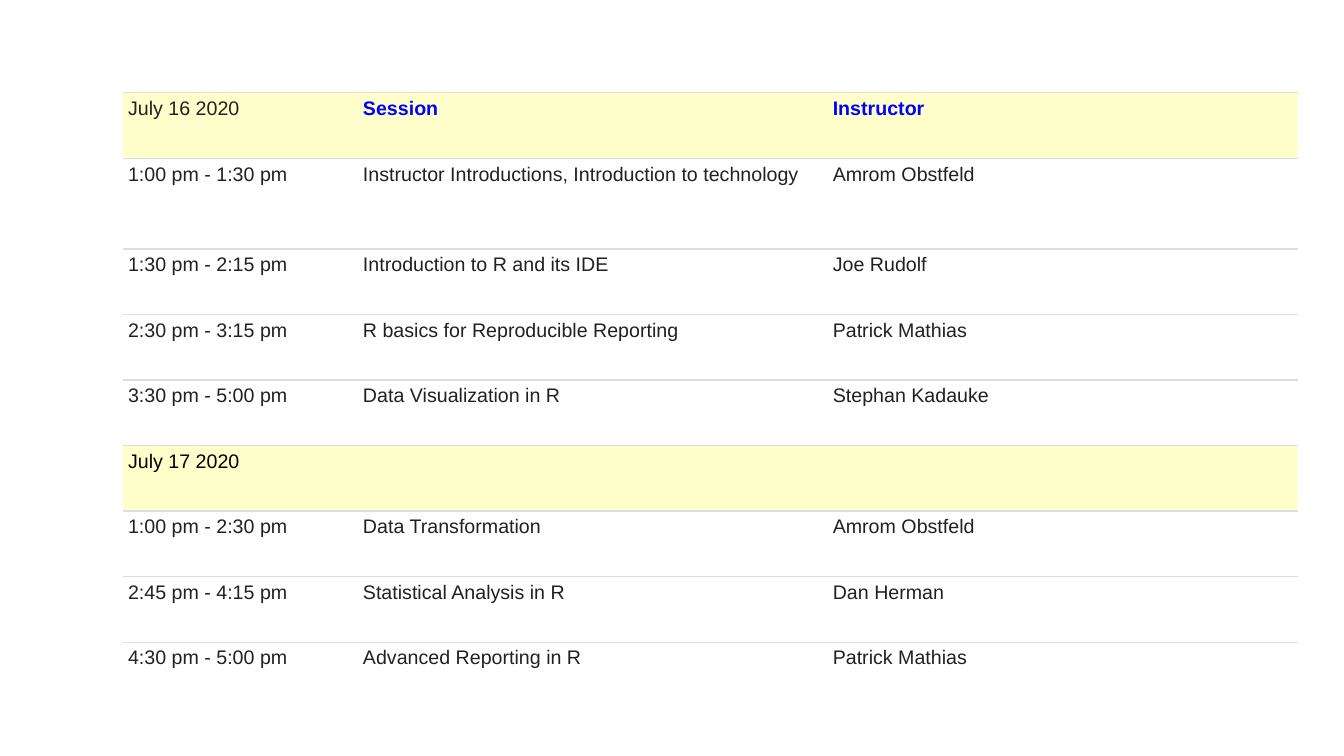
from dataclasses import dataclass

from lxml import etree
from pptx import Presentation
from pptx.dml.color import RGBColor
from pptx.oxml.ns import qn
from pptx.table import _Cell
from pptx.util import Inches, Pt

COLORS = {
    "text": "212121",
    "black": "000000",
    "heading": "0000FF",
    "day": "FFFFCC",
    "plain": "FFFFFF",
    "rule": "DDDDDD",
}
FONT = "Arial"
COLUMN_WIDTHS = (2.33, 4.66, 4.66)
ROW_HEIGHT = 0.65
CELL_MARGIN = Inches(0.05)


@dataclass(frozen=True)
class AgendaRow:
    time: str
    session: str = ""
    instructor: str = ""
    is_day: bool = False
    time_color: str = "text"
    height: float = ROW_HEIGHT


AGENDA = [
    AgendaRow("July 16 2020", "Session", "Instructor", is_day=True),
    AgendaRow("1:00 pm - 1:30 pm", "Instructor Introductions, Introduction to technology",
              "Amrom Obstfeld", height=0.9),
    AgendaRow("1:30 pm - 2:15 pm", "Introduction to R and its IDE", "Joe Rudolf"),
    AgendaRow("2:30 pm - 3:15 pm", "R basics for Reproducible Reporting", "Patrick Mathias"),
    AgendaRow("3:30 pm - 5:00 pm", "Data Visualization in R", "Stephan Kadauke"),
    AgendaRow("July 17 2020", is_day=True, time_color="black"),
    AgendaRow("1:00 pm - 2:30 pm", "Data Transformation", "Amrom Obstfeld"),
    AgendaRow("2:45 pm - 4:15 pm", "Statistical Analysis in R", "Dan Herman"),
    AgendaRow("4:30 pm - 5:00 pm", "Advanced Reporting in R", "Patrick Mathias"),
]


def set_borders(cell: _Cell, ruled_sides: str) -> None:
    """Rule the given sides (from L, R, T, B) and clear the others."""
    properties = cell._tc.get_or_add_tcPr()
    for side in "LRTB":
        line = etree.SubElement(properties, qn(f"a:ln{side}"), w=str(Pt(1)))
        if side in ruled_sides:
            fill = etree.SubElement(line, qn("a:solidFill"))
            etree.SubElement(fill, qn("a:srgbClr"), val=COLORS["rule"])
        else:
            etree.SubElement(line, qn("a:noFill"))


def write_cell(cell: _Cell, text: str, *, color: str, fill: str,
               bold: bool = False, ruled_sides: str = "TB") -> None:
    # Borders come before the fill in the cell properties
    set_borders(cell, ruled_sides)
    cell.fill.solid()
    cell.fill.fore_color.rgb = RGBColor.from_string(COLORS[fill])
    cell.margin_left = cell.margin_right = CELL_MARGIN
    cell.margin_top = cell.margin_bottom = CELL_MARGIN
    if not text:
        return
    paragraph = cell.text_frame.paragraphs[0]
    paragraph.space_after = Pt(15)
    run = paragraph.add_run()
    run.text = text
    run.font.name = FONT
    run.font.size = Pt(14)
    run.font.bold = bold
    run.font.color.rgb = RGBColor.from_string(COLORS[color])


def main() -> None:
    presentation = Presentation()
    presentation.slide_width = Inches(13.33)
    presentation.slide_height = Inches(7.5)
    slide = presentation.slides.add_slide(presentation.slide_layouts[6])

    # Agenda grid
    schedule = slide.shapes.add_table(
        len(AGENDA), len(COLUMN_WIDTHS), Inches(1.22), Inches(0.92),
        Inches(sum(COLUMN_WIDTHS)), Inches(sum(row.height for row in AGENDA)),
    ).table
    schedule.first_row = False
    schedule.horz_banding = False
    for column, width in zip(schedule.columns, COLUMN_WIDTHS):
        column.width = Inches(width)

    # Days and sessions
    for index, row in enumerate(AGENDA):
        schedule.rows[index].height = Inches(row.height)
        fill = "day" if row.is_day else "plain"
        sides = "T" if index == len(AGENDA) - 1 else "TB"
        write_cell(schedule.cell(index, 0), row.time, color=row.time_color,
                   fill=fill, ruled_sides=sides)
        for column_index, text in enumerate((row.session, row.instructor), start=1):
            write_cell(schedule.cell(index, column_index), text,
                       color="heading" if row.is_day else "text",
                       fill=fill, bold=row.is_day, ruled_sides=sides)

    presentation.save("out.pptx")


if __name__ == "__main__":
    main()
